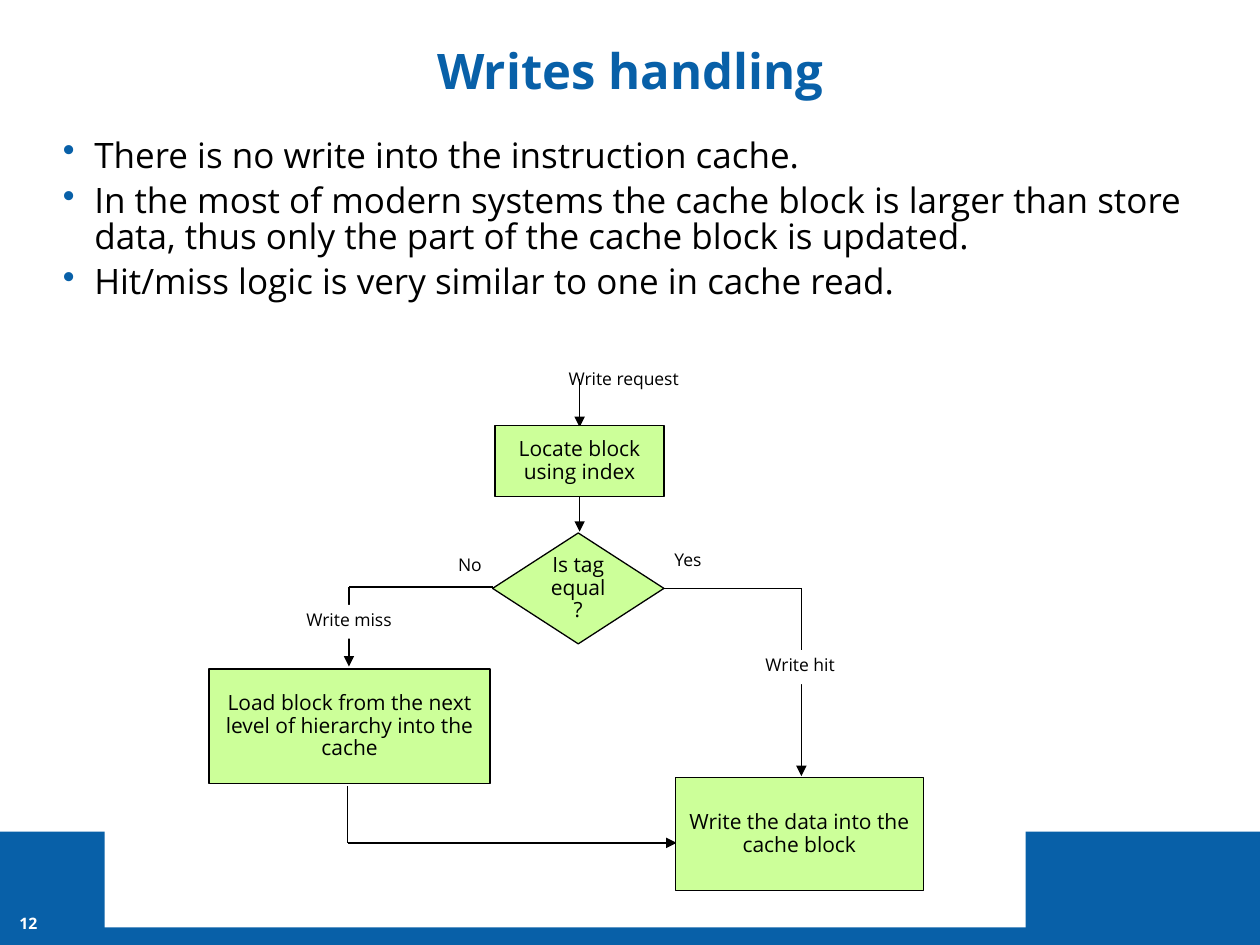
from dataclasses import dataclass

from lxml import etree
from pptx import Presentation
from pptx import util as u
from pptx.dml.color import RGBColor
from pptx.enum import shapes, text
from pptx.oxml.ns import qn


@dataclass(frozen=True)
class Theme:
    """Colours, font and type sizes of the slide."""
    blue: str = "0860A8"
    green: str = "CCFF99"
    white: str = "FFFFFF"
    black: str = "000000"
    font: str = "Open Sans"
    title: int = 28
    body: int = 20
    step: int = 12
    label: int = 10
    number: int = 9
    line: float = 0.75


THEME = Theme()
BULLETS = [
    "There is no write into the instruction cache.",
    "In the most of modern systems the cache block is larger than store data, "
    "thus only the part of the cache block is updated.",
    "Hit/miss logic is very similar to one in cache read.",
]
RECT = shapes.MSO_SHAPE.RECTANGLE
STEPS = [
    ("Locate block using index", RECT, (3.93, 3.38, 1.34, 0.56)),
    ("Is tag equal?", shapes.MSO_SHAPE.FLOWCHART_DECISION, (3.91, 4.23, 1.36, 0.88)),
    ("Load block from the next level of hierarchy into the cache", RECT,
     (1.66, 5.31, 2.23, 0.91)),
    ("Write the data into the cache block", RECT, (5.36, 6.17, 1.97, 0.9)),
]
ROUTES = [
    [(4.6, 3.01), (4.6, 3.39)],
    [(4.6, 3.85), (4.6, 4.22)],
    [(3.91, 4.66), (2.77, 4.66), (2.77, 5.29)],
    [(5.26, 4.67), (6.36, 4.67), (6.36, 6.16)],
    [(2.76, 6.24), (2.76, 6.69), (5.37, 6.69)],
]
LABELS = [
    ("Write request", (4.38, 2.89, 1.14, 0.43), None),
    ("Yes", (5.09, 4.33, 0.74, 0.27), None),
    ("No", (3.36, 4.37, 0.74, 0.27), None),
    ("Write hit", (5.78, 5.16, 1.14, 0.27), THEME.white),
    ("Write miss", (2.28, 4.8, 0.98, 0.27), THEME.white),
]


def inches(values):
    """Turn numbers into lengths."""
    return [u.Inches(value) for value in values]


def format_paragraph(paragraph, size, color=THEME.black, bold=False,
                     align=text.PP_ALIGN.CENTER, spacing=0.9):
    """Set the font, alignment and line spacing of a paragraph."""
    paragraph.alignment = align
    paragraph.line_spacing = spacing
    font = paragraph.font
    font.name, font.size, font.bold = THEME.font, u.Pt(size), bold
    font.color.rgb = RGBColor.from_string(color)


def add_block(slide, box, fill, kind=RECT, outlined=False):
    """Add a flat filled shape."""
    block = slide.shapes.add_shape(kind, *inches(box))
    block.shadow.inherit = False
    block.fill.solid()
    block.fill.fore_color.rgb = RGBColor.from_string(fill)
    if outlined:
        block.line.color.rgb = RGBColor.from_string(THEME.black)
        block.line.width = u.Pt(THEME.line)
    else:
        block.line.fill.background()
    return block


def add_step(slide, wording, kind, box):
    """Add one step of the flowchart."""
    frame = add_block(slide, box, THEME.green, kind, outlined=True).text_frame
    frame.word_wrap = True
    frame.vertical_anchor = text.MSO_ANCHOR.MIDDLE
    frame.text = wording
    format_paragraph(frame.paragraphs[0], THEME.step)


def add_label(slide, wording, box, fill):
    """Add a small centred label, with a backing when a fill is given."""
    label = slide.shapes.add_textbox(*inches(box))
    if fill:
        label.fill.solid()
        label.fill.fore_color.rgb = RGBColor.from_string(fill)
    frame = label.text_frame
    frame.word_wrap = True
    frame.text = wording
    format_paragraph(frame.paragraphs[0], THEME.label)


def add_route(slide, points):
    """Join points with straight lines, with an arrowhead at the last one."""
    for start, end in zip(points, points[1:]):
        segment = slide.shapes.add_connector(
            shapes.MSO_CONNECTOR.STRAIGHT, *inches(start + end))
        segment.line.color.rgb = RGBColor.from_string(THEME.black)
        segment.line.width = u.Pt(THEME.line)
        properties = segment.line._get_or_add_ln().getparent()
        etree.SubElement(properties, qn("a:effectLst"))
    etree.SubElement(segment.line._get_or_add_ln(), qn("a:tailEnd"), type="triangle")


def add_title(slide, wording):
    """Place and format the title placeholder."""
    title = slide.shapes.title
    title.left, title.top, title.width, title.height = inches((0.4, 0.17, 9.2, 0.83))
    title.text_frame.text = wording
    title.text_frame.vertical_anchor = text.MSO_ANCHOR.MIDDLE
    format_paragraph(title.text_frame.paragraphs[0], THEME.title, THEME.blue, True)


def add_bullets(slide, wordings):
    """Add the bulleted statements."""
    frame = slide.shapes.add_textbox(*inches((0.4, 1.06, 9.19, 1.53))).text_frame
    frame.word_wrap = True
    frame.text = "\n".join(wordings)
    for paragraph in frame.paragraphs:
        format_paragraph(paragraph, THEME.body, align=text.PP_ALIGN.LEFT, spacing=0.85)
        paragraph.space_before = u.Pt(5.5)
        properties = paragraph._p.get_or_add_pPr()
        indent = u.Inches(0.25)
        properties.set("marL", str(indent))
        properties.set("indent", str(-indent))
        bullet_color = etree.Element(qn("a:buClr"))
        etree.SubElement(bullet_color, qn("a:srgbClr"), val=THEME.blue)
        bullet = etree.Element(qn("a:buChar"), char="•")
        font = properties.find(qn("a:defRPr"))
        font.addprevious(bullet_color)
        font.addprevious(bullet)


def add_footer(slide, number):
    """Add the blue band, its white cut-out and the slide number."""
    add_block(slide, (0, 6.6, 10, 0.9), THEME.blue)
    add_block(slide, (0.83, 6.12, 7.31, 1.24), THEME.white)
    frame = slide.shapes.add_textbox(*inches((0, 7.17, 0.45, 0.33))).text_frame
    frame.margin_left = frame.margin_right = frame.margin_top = frame.margin_bottom = 0
    frame.word_wrap = True
    frame.vertical_anchor = text.MSO_ANCHOR.MIDDLE
    frame.text = number
    format_paragraph(frame.paragraphs[0], THEME.number, THEME.white, True)


def main():
    """Build the slide and save it."""
    deck = Presentation()
    deck.slide_width, deck.slide_height = inches((10, 7.5))
    slide = deck.slides.add_slide(deck.slide_layouts[5])
    add_footer(slide, "12")
    add_title(slide, "Writes handling")
    add_bullets(slide, BULLETS)
    for points in ROUTES:
        add_route(slide, points)
    for label in LABELS:
        add_label(slide, *label)
    for step in STEPS:
        add_step(slide, *step)
    deck.save("out.pptx")


main()
